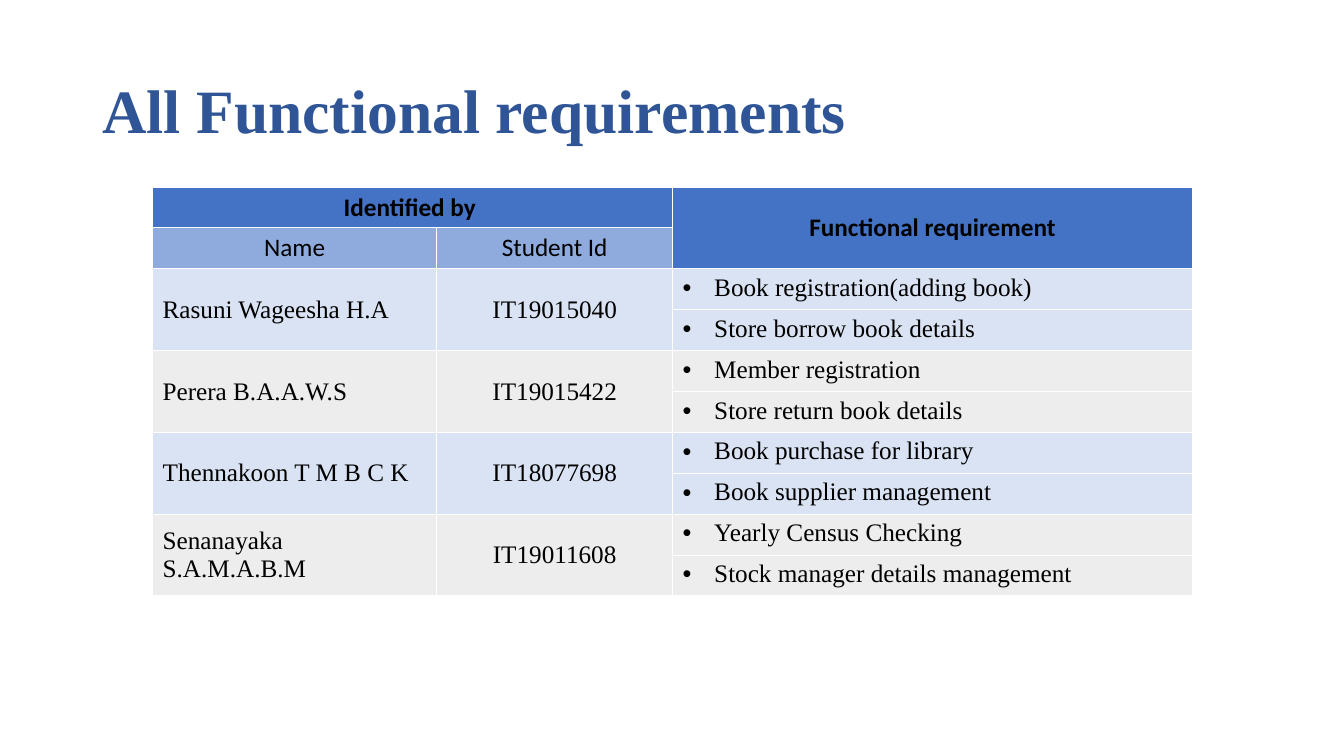
"""Build the slide listing all functional requirements by student."""
import lxml.etree
import pptx
import pptx.dml.color
import pptx.enum.text
import pptx.oxml.ns
import pptx.util

Pt = pptx.util.Pt
RGBColor = pptx.dml.color.RGBColor
ALIGN = pptx.enum.text.PP_ALIGN
ANCHOR = pptx.enum.text.MSO_ANCHOR
qn = pptx.oxml.ns.qn

WHITE = RGBColor(0xFF, 0xFF, 0xFF)
BLACK = RGBColor(0x00, 0x00, 0x00)
TITLE_BLUE = RGBColor(0x2F, 0x55, 0x97)
HEADER_BLUE = RGBColor(0x44, 0x72, 0xC4)
SUBHEADER_BLUE = RGBColor(0x8F, 0xAA, 0xDC)
BAND_BLUE = RGBColor(0xDA, 0xE3, 0xF3)
BAND_GREY = RGBColor(0xED, 0xED, 0xED)

SERIF = "Times New Roman"
SANS = "Calibri"
COLUMN_WIDTHS = (203, 168.5, 371.5)
ROW_HEIGHT = 29.25
HEADER_ROWS = 2
INDENT = 22.5

STUDENTS = (
    ("Rasuni Wageesha H.A", "IT19015040",
     ("Book registration(adding book)", "Store borrow book details")),
    ("Perera B.A.A.W.S", "IT19015422",
     ("Member registration", "Store return book details")),
    ("Thennakoon T M B C K", "IT18077698",
     ("Book purchase for library", "Book supplier management")),
    ("Senanayaka S.A.M.A.B.M", "IT19011608",
     ("Yearly Census Checking", "Stock manager details management")),
)


def set_font(p, name, size, color, bold=False):
    """Set the font of a whole paragraph."""
    p.font.name = name
    p.font.size = Pt(size)
    p.font.color.rgb = color
    p.font.bold = bold


def add_title(s, text):
    """Place and format the title placeholder."""
    sp = s.shapes.title
    sp.left, sp.top, sp.width, sp.height = Pt(66), Pt(28.75), Pt(828), Pt(104.4)
    tf = sp.text_frame
    tf.text = text
    tf.vertical_anchor = ANCHOR.MIDDLE
    p = tf.paragraphs[0]
    p.alignment = ALIGN.LEFT
    p.line_spacing = 0.9
    set_font(p, SERIF, 44, TITLE_BLUE, bold=True)


def style_cell(cell, fill):
    """Give a cell thin white borders and a solid fill."""
    tc_pr = cell._tc.get_or_add_tcPr()
    for side in ("a:lnL", "a:lnR", "a:lnT", "a:lnB"):
        ln = lxml.etree.SubElement(tc_pr, qn(side), w=str(Pt(1)))
        solid = lxml.etree.SubElement(ln, qn("a:solidFill"))
        lxml.etree.SubElement(solid, qn("a:srgbClr"), val=str(WHITE))
    cell.fill.solid()
    cell.fill.fore_color.rgb = fill


def write_cell(cell, text, font=SERIF, bold=False, align=ALIGN.CENTER, anchor=ANCHOR.MIDDLE):
    """Write one formatted paragraph in a cell and return it."""
    cell.text = text
    cell.vertical_anchor = anchor
    p = cell.text_frame.paragraphs[0]
    p.alignment = align
    set_font(p, font, 18, BLACK, bold)
    return p


def add_bullet(p):
    """Give a paragraph a hanging bullet."""
    p_pr = p._p.get_or_add_pPr()
    p_pr.set("marL", str(Pt(INDENT)))
    p_pr.set("indent", str(-Pt(INDENT)))
    lxml.etree.SubElement(p_pr, qn("a:buFont"), typeface="Arial")
    lxml.etree.SubElement(p_pr, qn("a:buChar"), char="•")


def row_fills():
    """Return the fill of every table row."""
    fills = [HEADER_BLUE, SUBHEADER_BLUE]
    for i, (_, _, requirements) in enumerate(STUDENTS):
        fills += [(BAND_BLUE, BAND_GREY)[i % 2]] * len(requirements)
    return fills


def add_header(table):
    """Fill the two header rows."""
    table.cell(0, 0).merge(table.cell(0, 1))
    table.cell(0, 2).merge(table.cell(1, 2))
    write_cell(table.cell(0, 0), "Identified by ", SANS, bold=True)
    write_cell(table.cell(0, 2), "Functional requirement", SANS, bold=True)
    for col, label in enumerate(("Name", "Student Id")):
        write_cell(table.cell(1, col), label, SANS, anchor=ANCHOR.TOP)


def add_student(table, top, name, student_id, requirements):
    """Fill the rows of one student, starting at row top."""
    bottom = top + len(requirements) - 1
    for col, text, align in ((0, name, ALIGN.LEFT), (1, student_id, ALIGN.CENTER)):
        table.cell(top, col).merge(table.cell(bottom, col))
        write_cell(table.cell(top, col), text, align=align)
    for row, text in enumerate(requirements, top):
        add_bullet(write_cell(table.cell(row, 2), text, align=ALIGN.LEFT, anchor=ANCHOR.TOP))


def add_requirements_table(s):
    """Add the table of students and their requirements."""
    fills = row_fills()
    table = s.shapes.add_table(
        len(fills), len(COLUMN_WIDTHS), Pt(109), Pt(133.5),
        Pt(sum(COLUMN_WIDTHS)), Pt(ROW_HEIGHT * len(fills))).table
    for column, width in zip(table.columns, COLUMN_WIDTHS):
        column.width = Pt(width)
    for row, fill in zip(table.rows, fills):
        row.height = Pt(ROW_HEIGHT)
        for cell in row.cells:
            style_cell(cell, fill)
    style_fill = table.cell(1, 2).fill
    style_fill.fore_color.rgb = HEADER_BLUE
    add_header(table)
    top = HEADER_ROWS
    for name, student_id, requirements in STUDENTS:
        add_student(table, top, name, student_id, requirements)
        top += len(requirements)


def main():
    """Build and save the presentation."""
    prs = pptx.Presentation()
    prs.slide_width, prs.slide_height = Pt(960), Pt(540)
    s = prs.slides.add_slide(prs.slide_layouts[5])
    add_title(s, "All Functional requirements")
    add_requirements_table(s)
    prs.save("out.pptx")


if __name__ == "__main__":
    main()
